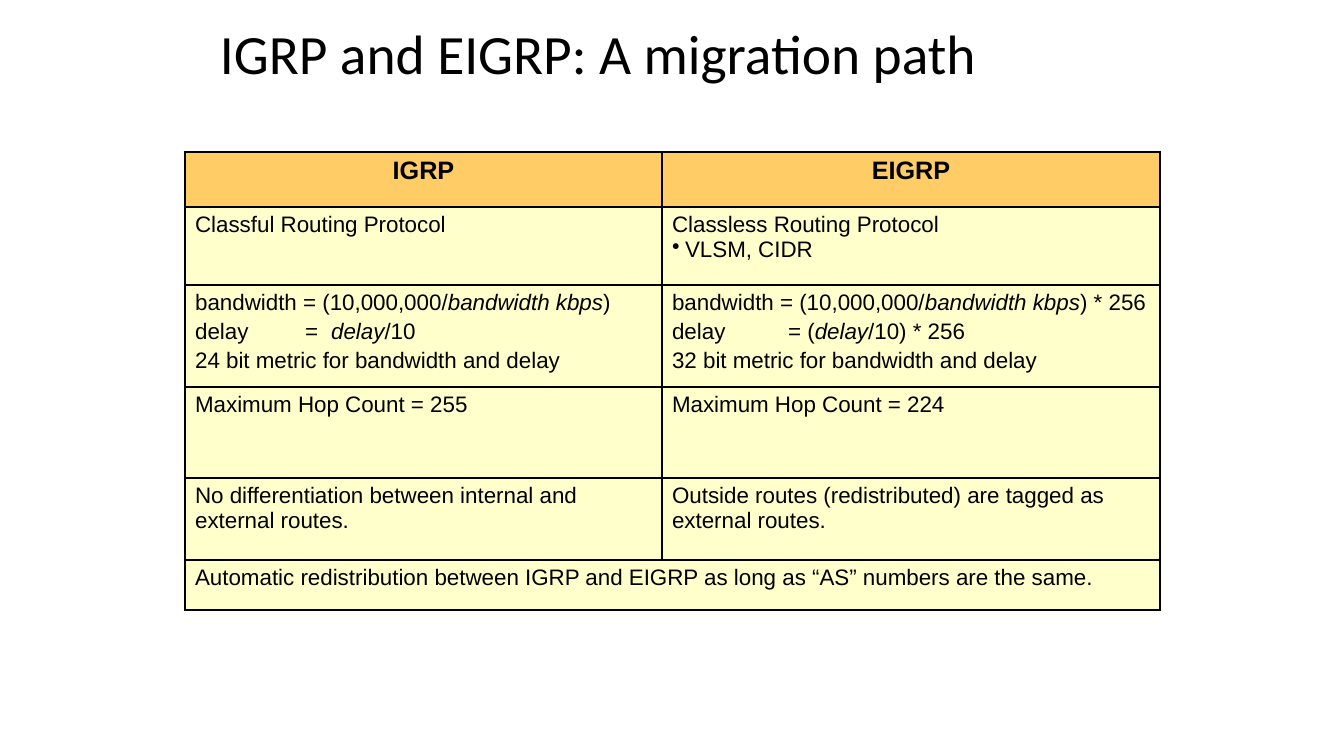
from lxml import etree
from pptx import Presentation
from pptx.dml.color import RGBColor
from pptx.enum.text import MSO_ANCHOR, PP_ALIGN
from pptx.oxml.ns import qn
from pptx.util import Emu, Pt

MIDDLE = MSO_ANCHOR.MIDDLE
LEFT, CENTER = PP_ALIGN.LEFT, PP_ALIGN.CENTER

BLACK = RGBColor(0x00, 0x00, 0x00)
HEADER_FILL = RGBColor(0xFF, 0xCC, 0x66)
BODY_FILL = RGBColor(0xFF, 0xFF, 0xCC)

EMU_PER_PX = 914400 / 100.8
BULLET_INDENT = 13
OUTER_LINE, INNER_LINE = Pt(2.25), Pt(1)

COLUMN_WIDTHS = [477, 498]
ROW_HEIGHTS = [55, 78, 102, 91, 82, 50]

# Each cell is a list of lines; underscores enclose italic words
ROWS = [
    [["IGRP"], ["EIGRP"]],
    [["Classful Routing Protocol"],
     ["Classless Routing Protocol", "• VLSM, CIDR"]],
    [["bandwidth = (10,000,000/_bandwidth kbps_)",
      "delay\t=\t_delay_/10",
      "24 bit metric for bandwidth and delay"],
     ["bandwidth = (10,000,000/_bandwidth kbps_) * 256",
      "delay\t= (_delay_/10) * 256",
      "32 bit metric for bandwidth and delay"]],
    [["Maximum Hop Count = 255"], ["Maximum Hop Count = 224"]],
    [["No differentiation between internal and external routes."],
     ["Outside routes (redistributed) are tagged as external routes."]],
    [["Automatic redistribution between IGRP and EIGRP as long as "
      "“AS” numbers are the same."]],
]
FORMULA_ROW = 2
TAB_STOPS = [(110, 136), (116,)]


def px(length):
    return Emu(round(length * EMU_PER_PX))


def write_lines(frame, lines, size, font="Arial", bold=False, align=LEFT,
                gap=0, tabs=(), line_spacing=None):
    """Fill a text frame, one paragraph for each line."""
    frame.word_wrap = True
    for index, line in enumerate(lines):
        para = frame.paragraphs[0] if index == 0 else frame.add_paragraph()
        props = para._p.get_or_add_pPr()
        if line.startswith("• "):
            line = line[2:]
            props.set("marL", str(px(BULLET_INDENT)))
            props.set("indent", str(-px(BULLET_INDENT)))
            etree.SubElement(props, qn("a:buChar"), char="•")
        if "\t" in line:
            stops = etree.SubElement(props, qn("a:tabLst"))
            for stop in tabs:
                etree.SubElement(stops, qn("a:tab"), pos=str(px(stop)), algn="l")
        para.alignment = align
        if line_spacing:
            para.line_spacing = line_spacing
        if index and gap:
            para.space_before = Pt(gap)
        for part, text in enumerate(line.split("_")):
            span = para.add_run()
            span.text = text
            span.font.name = font
            span.font.size = Pt(size)
            span.font.bold = bold
            span.font.italic = part % 2 == 1
            span.font.color.rgb = BLACK


def set_borders(cell, widths):
    """Draw the cell's left, right, top and bottom lines."""
    props = cell._tc.get_or_add_tcPr()
    for index, (side, width) in enumerate(zip("LRTB", widths)):
        line = etree.Element(qn(f"a:ln{side}"), w=str(width))
        fill = etree.SubElement(line, qn("a:solidFill"))
        etree.SubElement(fill, qn("a:srgbClr"), val=str(BLACK))
        props.insert(index, line)


def add_title(page, left, top, width, height):
    box = page.shapes.add_textbox(px(left), px(top), px(width), px(height))
    box.text_frame.vertical_anchor = MIDDLE
    write_lines(box.text_frame, ["IGRP and EIGRP: A migration path"], 39.6,
                font="Calibri", line_spacing=0.9)


def add_comparison(page, left, top):
    last_row, last_column = len(ROW_HEIGHTS) - 1, len(COLUMN_WIDTHS) - 1
    table = page.shapes.add_table(
        len(ROW_HEIGHTS), len(COLUMN_WIDTHS), px(left), px(top),
        px(sum(COLUMN_WIDTHS)), px(sum(ROW_HEIGHTS))).table
    for column, width in zip(table.columns, COLUMN_WIDTHS):
        column.width = px(width)
    for row, height in zip(table.rows, ROW_HEIGHTS):
        row.height = px(height)

    # Fills and lines: heavy around the table, thin inside
    for r in range(last_row + 1):
        for c in range(last_column + 1):
            cell = table.cell(r, c)
            cell.fill.solid()
            cell.fill.fore_color.rgb = BODY_FILL if r else HEADER_FILL
            edges = (c == 0, c == last_column, r == 0, r == last_row)
            set_borders(cell, [OUTER_LINE if edge else INNER_LINE
                               for edge in edges])
    table.cell(last_row, 0).merge(table.cell(last_row, last_column))

    # Wording
    for r, row in enumerate(ROWS):
        for c, lines in enumerate(row):
            header = r == 0
            write_lines(table.cell(r, c).text_frame, lines,
                        18 if header else 16, bold=header,
                        align=CENTER if header else LEFT,
                        gap=3 if r == FORMULA_ROW else 0, tabs=TAB_STOPS[c])


def main():
    deck = Presentation()
    deck.slide_width, deck.slide_height = px(1344), px(756)
    page = deck.slides.add_slide(deck.slide_layouts[6])
    add_title(page, 210, 39, 932, 34)
    add_comparison(page, 185, 152)
    deck.save("out.pptx")


if __name__ == "__main__":
    main()
